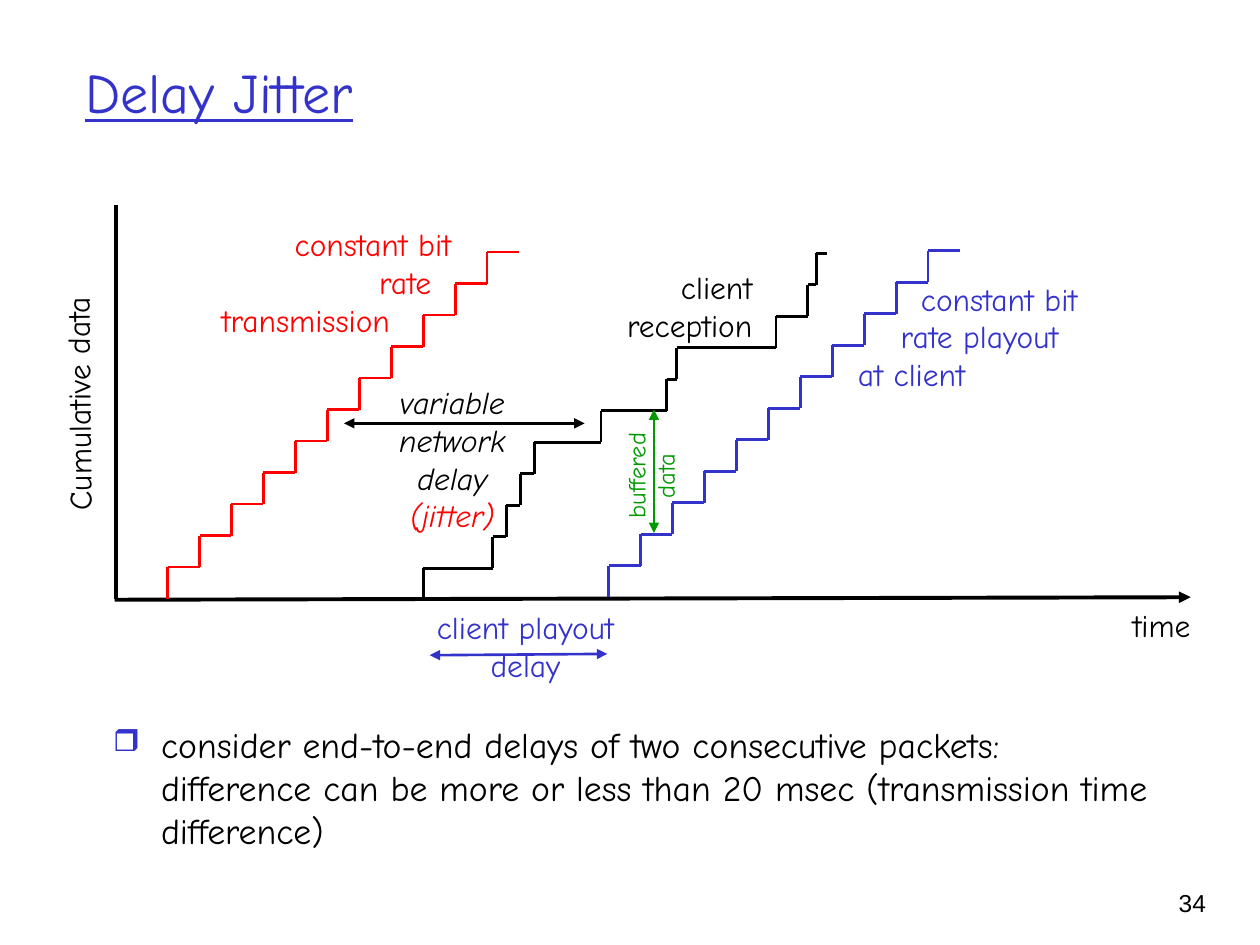
"""Build the Delay Jitter slide with its cumulative data diagram."""
from lxml import etree
from pptx import Presentation
from pptx.dml.color import RGBColor
from pptx.enum.shapes import MSO_CONNECTOR
from pptx.enum.text import MSO_ANCHOR, PP_ALIGN
from pptx.oxml.ns import qn
from pptx.util import Inches, Pt

BLACK = RGBColor(0x00, 0x00, 0x00)
RED = RGBColor(0xFF, 0x00, 0x00)
BLUE = RGBColor(0x33, 0x33, 0xCC)
GREEN = RGBColor(0x00, 0x99, 0x00)
STRAIGHT = MSO_CONNECTOR.STRAIGHT
TOP, MIDDLE = MSO_ANCHOR.TOP, MSO_ANCHOR.MIDDLE
LEFT, CENTER, RIGHT = PP_ALIGN.LEFT, PP_ALIGN.CENTER, PP_ALIGN.RIGHT
STEP_HEIGHT = 0.25
STEP_COUNT = 11
STEADY_RUN = 2.79

presentation = Presentation()
presentation.slide_width = Inches(10)
presentation.slide_height = Inches(7.5)
slide = presentation.slides.add_slide(presentation.slide_layouts[6])


def add_line(start, end, color, width=1.5, arrows=()):
    line = slide.shapes.add_connector(STRAIGHT, *map(Inches, start + end))
    line.line.color.rgb = color
    line.line.width = Pt(width)
    for arrow in arrows:
        etree.SubElement(line.line._get_or_add_ln(), qn(f"a:{arrow}"), type="triangle")
    etree.SubElement(line._element.spPr, qn("a:effectLst"))


def add_text(box, lines, color=BLACK, align=LEFT, wrap=True, rotation=0, anchor=TOP, **font_format):
    shape = slide.shapes.add_textbox(*map(Inches, box))
    shape.rotation = rotation
    frame = shape.text_frame
    frame.word_wrap = wrap
    frame.vertical_anchor = anchor
    for index, (text, indent) in enumerate(lines):
        paragraph = frame.paragraphs[0] if index == 0 else frame.add_paragraph()
        paragraph.alignment = align
        if indent:
            paragraph._p.get_or_add_pPr().set("marL", str(Inches(indent)))
        run = paragraph.add_run()
        run.text = text
        run.font.color.rgb = color
        for name, value in {"name": "Comic Neue", "size": Pt(18), **font_format}.items():
            setattr(run.font, name, value)
    return frame


add_line((0.92, 1.63), (0.92, 4.75), BLACK, 2.25)
add_line((0.91, 4.76), (9.45, 4.74), BLACK, 2.25, ["tailEnd"])

steady_steps = [STEADY_RUN * step / STEP_COUNT for step in range(STEP_COUNT + 1)]
transmission_steps = [1.33 + step for step in steady_steps]
reception_steps = [3.36, 3.91, 4.02, 4.13, 4.24, 4.77, 5.29, 5.37, 6.16, 6.41, 6.48, 6.56]
playout_steps = [4.83 + step for step in steady_steps]

for steps, base, color in [
    (transmission_steps, 4.75, RED),
    (reception_steps, 4.76, BLACK),
    (playout_steps, 4.74, BLUE),
]:
    for level, (left, right) in enumerate(zip(steps, steps[1:])):
        bottom = base - level * STEP_HEIGHT
        top = bottom - STEP_HEIGHT
        add_line((left, bottom), (left, top), color)
        add_line((left, top), (right, top), color)

for start, end, color in [
    ((2.73, 3.36), (4.64, 3.36), BLACK),
    ((3.41, 5.2), (4.82, 5.19), BLUE),
    ((5.19, 4.23), (5.19, 3.25), GREEN),
]:
    add_line(start, end, color, arrows=["headEnd", "tailEnd"])

add_text((1.66, 1.74, 2.12, 1), [("constant bit", 0.58), ("rate", 1.25), ("transmission", 0)], RED)
add_text((6.63, 2.17, 2.12, 1), [("constant bit", 0.58), ("rate playout", 0.42), ("at client", 0.08)], BLUE)
add_text((-0.45, 2.88, 2.14, 0.4), [("Cumulative data", 0)], rotation=269.4)
add_text((8.89, 4.76, 0.66, 0.4), [("time", 0)], wrap=False)
delay_frame = add_text(
    (2.99, 2.99, 1.2, 1.3),
    [("variable", 0), ("network", 0), ("delay", 0), ("(jitter)", 0)],
    align=CENTER, italic=True,
)
delay_frame.paragraphs[-1].runs[0].font.color.rgb = RED
add_text((4.87, 2.08, 1.2, 0.7), [("client", 0), ("reception", 0)], align=RIGHT, wrap=False)
add_text((3.25, 4.78, 1.84, 0.7), [("client playout", 0), ("delay", 0)], BLUE, CENTER)
add_text(
    (4.72, 3.49, 0.89, 0.57), [("buffered", 0), ("data", 0)],
    GREEN, CENTER, wrap=False, rotation=270, size=Pt(14),
)

add_text((0.58, 0.25, 8.93, 0.95), [("Delay Jitter", 0)], BLUE, anchor=MIDDLE, size=Pt(32), underline=True)

body_text = (
    "consider end-to-end delays of two consecutive packets: difference can be "
    "more or less than 20 msec (transmission time difference)"
)
body_frame = add_text((0.8, 5.69, 8.5, 0.97), [(body_text, 0.38)], size=Pt(20.4))
body_paragraph = body_frame.paragraphs[0]
body_paragraph.space_before = Pt(6)
properties = body_paragraph._p.get_or_add_pPr()
properties.set("indent", str(Inches(-0.38)))
bullet_color = etree.SubElement(properties, qn("a:buClr"))
etree.SubElement(bullet_color, qn("a:srgbClr"), val=str(BLUE))
etree.SubElement(properties, qn("a:buSzPct"), val="85000")
etree.SubElement(properties, qn("a:buChar"), char="❒")

add_text((8.93, 7, 0.74, 0.5), [("34", 0)], align=RIGHT, name="Arial", size=Pt(14))

presentation.save("out.pptx")
